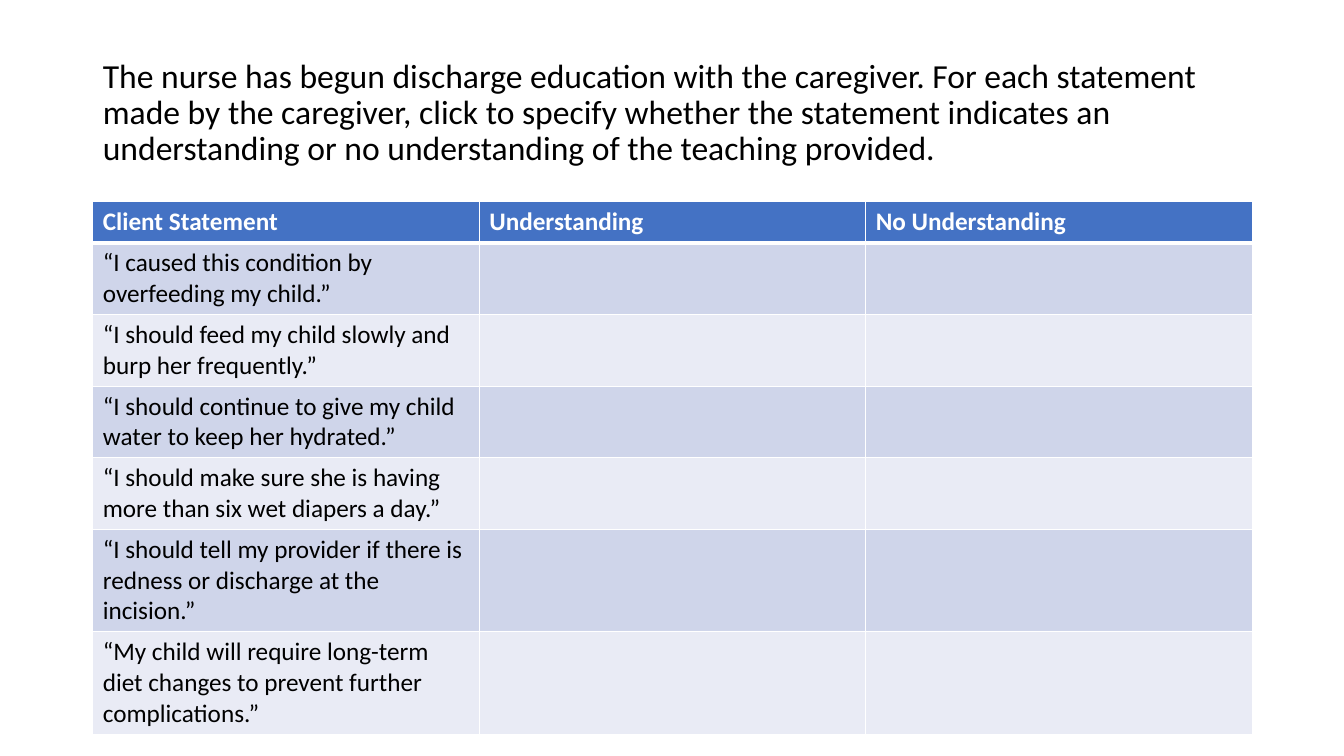
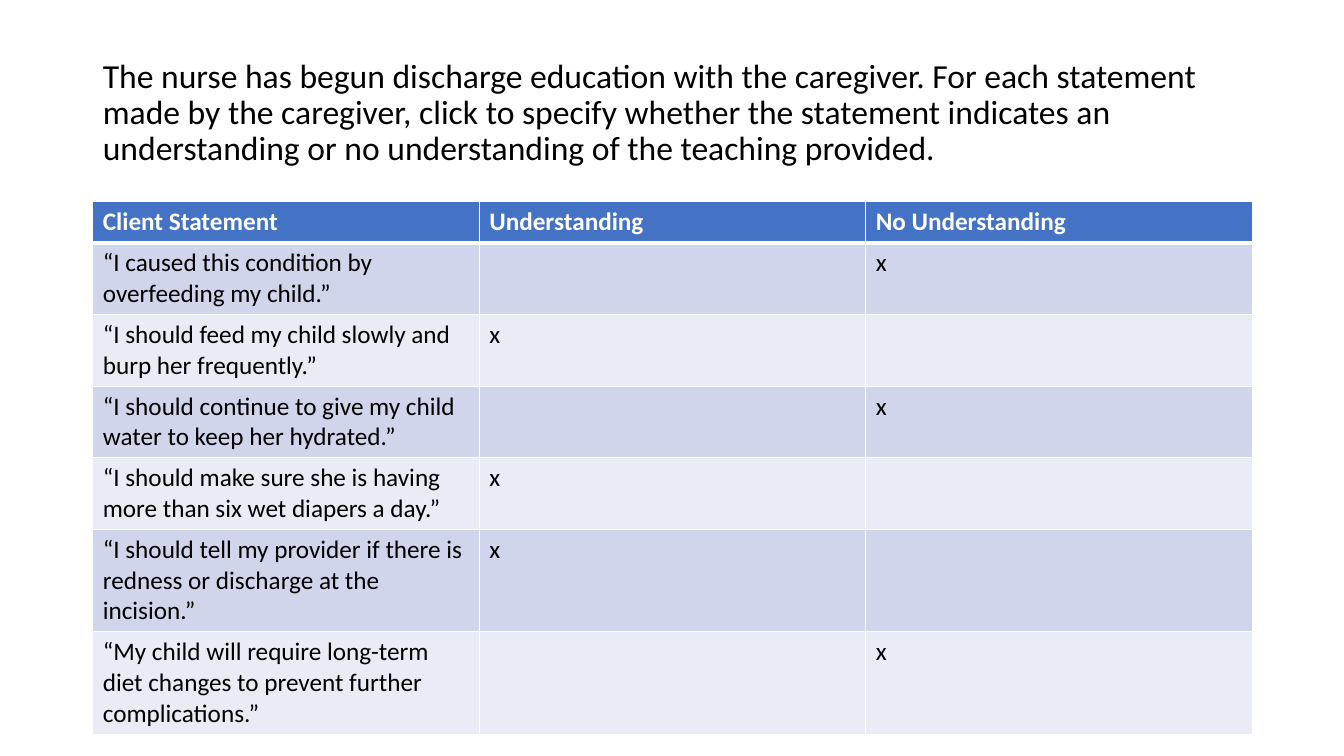
from dataclasses import dataclass

from lxml import etree
from pptx import Presentation
from pptx import util as u
from pptx.dml.color import RGBColor
from pptx.enum import text
from pptx.oxml.ns import qn

QUESTION = (
    "The nurse has begun discharge education with the caregiver. For each statement "
    "made by the caregiver, click to specify whether the statement indicates an "
    "understanding or no understanding of the teaching provided."
)
HEADINGS = ("Client Statement", "Understanding", "No Understanding")
# Each statement with the heading that is its correct answer.
STATEMENTS = (
    ("“I caused this condition by overfeeding my child.”", "No Understanding"),
    ("“I should feed my child slowly and burp her frequently.”", "Understanding"),
    ("“I should continue to give my child water to keep her hydrated.”", "No Understanding"),
    ("“I should make sure she is having more than six wet diapers a day.”", "Understanding"),
    ("“I should tell my provider if there is redness or discharge at the incision.”", "Understanding"),
    ("“My child will require long-term diet changes to prevent further complications.”", "No Understanding"),
)
ANSWERS_SHOWN = (False, True)  # one slide each


@dataclass(frozen=True)
class Theme:
    font: str = "Calibri"
    ink: str = "000000"
    white: str = "FFFFFF"
    header: str = "4472C4"
    bands: tuple = ("CFD5EA", "E9EBF5")
    title_size: int = 24
    table_size: int = 18
    thin_line: int = 1
    header_line: int = 3


THEME = Theme()
LEFT, WIDTH = u.Inches(0.92), u.Inches(11.5)
TITLE_TOP, TITLE_HEIGHT = u.Inches(0.4), u.Inches(1.45)
TABLE_TOP, ROW_HEIGHT = u.Inches(2), u.Inches(0.41)


def set_all(target, values):
    for name, value in values.items():
        setattr(target, name, value)


def write(paragraph, words, size, color, bold=False):
    run = paragraph.add_run()
    run.text = words
    set_all(run.font, {"name": THEME.font, "size": u.Pt(size), "bold": bold})
    run.font.color.rgb = RGBColor.from_string(color)


def set_borders(cell, widths):
    """Draw white cell borders; widths maps L, R, T, B to points."""
    properties = cell._tc.get_or_add_tcPr()
    for side, width in widths.items():
        line = etree.SubElement(properties, qn(f"a:ln{side}"), w=str(u.Pt(width)))
        fill = etree.SubElement(line, qn("a:solidFill"))
        etree.SubElement(fill, qn("a:srgbClr"), val=THEME.white)


def add_title(slide):
    title = slide.shapes.title
    set_all(title, {"left": LEFT, "top": TITLE_TOP, "width": WIDTH, "height": TITLE_HEIGHT})
    set_all(title.text_frame, {
        "word_wrap": True,
        "auto_size": text.MSO_AUTO_SIZE.NONE,
        "vertical_anchor": text.MSO_ANCHOR.MIDDLE,
    })
    paragraph = title.text_frame.paragraphs[0]
    set_all(paragraph, {"alignment": text.PP_ALIGN.LEFT, "line_spacing": 0.9})
    write(paragraph, QUESTION, THEME.title_size, THEME.ink)


def table_rows(show_answers):
    yield HEADINGS
    for statement, answer in STATEMENTS:
        marks = ("x" if show_answers and heading == answer else "" for heading in HEADINGS[1:])
        yield (statement, *marks)


def add_statement_table(slide, show_answers):
    rows = list(table_rows(show_answers))
    table = slide.shapes.add_table(
        len(rows), len(HEADINGS), LEFT, TABLE_TOP, WIDTH, ROW_HEIGHT * len(rows)
    ).table
    for row_index, row in enumerate(rows):
        is_header = row_index == 0
        fill = THEME.header if is_header else THEME.bands[(row_index - 1) % 2]
        color = THEME.white if is_header else THEME.ink
        borders = dict.fromkeys("LRTB", THEME.thin_line)
        if is_header:
            borders["B"] = THEME.header_line
        elif row_index == 1:
            borders["T"] = THEME.header_line
        for column_index, words in enumerate(row):
            cell = table.cell(row_index, column_index)
            set_borders(cell, borders)
            cell.fill.solid()
            cell.fill.fore_color.rgb = RGBColor.from_string(fill)
            if words:
                write(cell.text_frame.paragraphs[0], words, THEME.table_size, color, is_header)


def main():
    presentation = Presentation()
    set_all(presentation, {"slide_width": u.Inches(13.33), "slide_height": u.Inches(7.5)})
    title_only = presentation.slide_layouts.get_by_name("Title Only")
    for show_answers in ANSWERS_SHOWN:
        slide = presentation.slides.add_slide(title_only)
        add_title(slide)
        add_statement_table(slide, show_answers)
    presentation.save("out.pptx")


if __name__ == "__main__":
    main()
